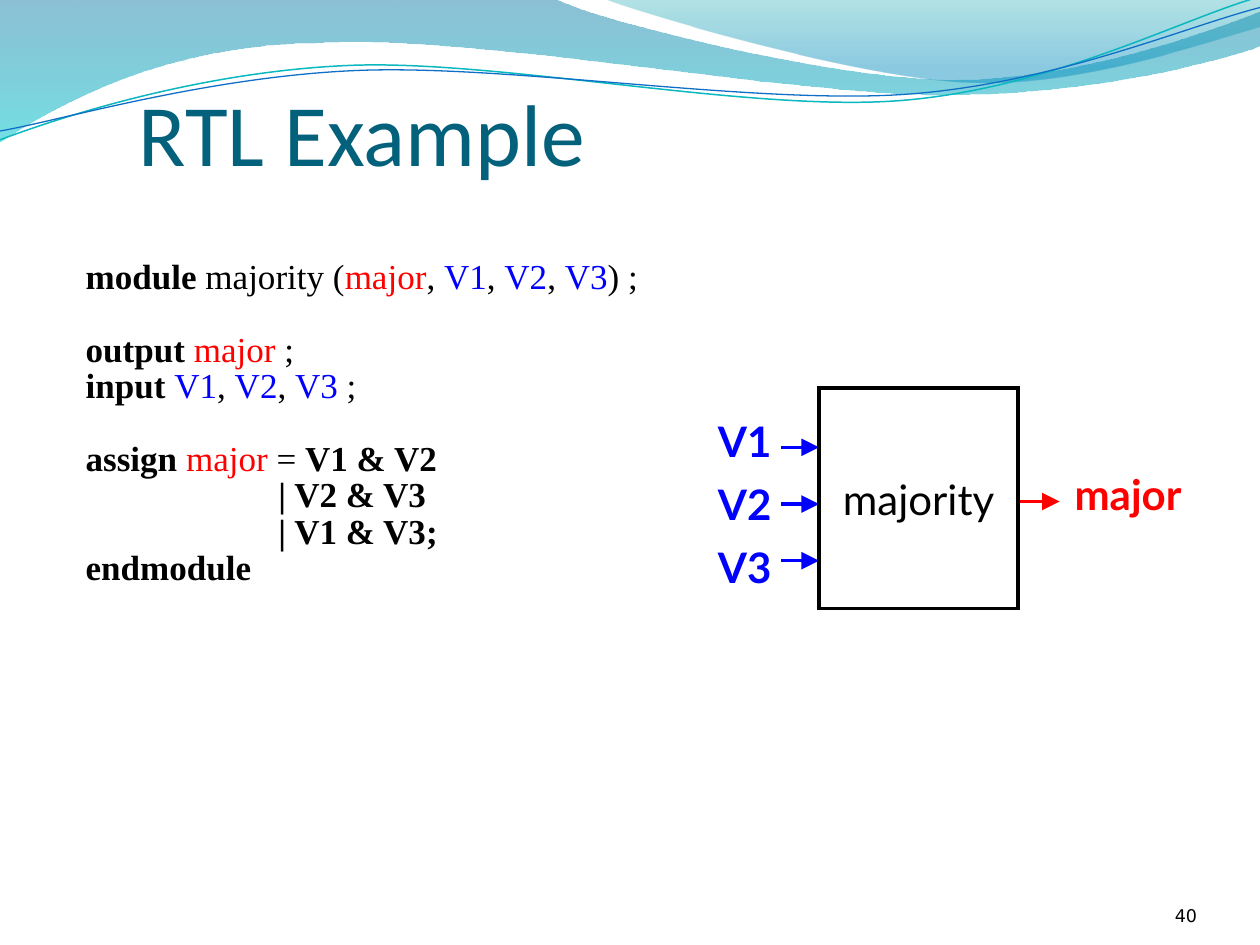
"""Build the RTL example slide: Verilog code beside a majority block diagram."""
import pptx
import pptx.dml.color
import pptx.enum.shapes
import pptx.enum.text
import pptx.oxml
import pptx.oxml.ns
import pptx.util

Inches, Pt = pptx.util.Inches, pptx.util.Pt
ALIGN, ANCHOR = pptx.enum.text.PP_ALIGN, pptx.enum.text.MSO_ANCHOR
BLACK, RED, BLUE, TEAL = "000000", "FF0000", "0000FF", "04617B"

INPUTS = ["V1", "V2", "V3"]
INPUT_RUNS = [("V1", BLUE), (", ", BLACK), ("V2", BLUE), (", ", BLACK), ("V3", BLUE)]
CODE = [
    {"runs": [("module", BLACK, True), (" majority (", BLACK), ("major", RED), (", ", BLACK),
              *INPUT_RUNS, (") ;", BLACK)]},
    {"runs": [("output ", BLACK, True), ("major", RED), (" ;", BLACK)], "gap": True},
    {"runs": [("input ", BLACK, True), *INPUT_RUNS, (" ;", BLACK)]},
    {"runs": [("assign ", BLACK, True), ("major ", RED), ("= ", BLACK),
              ("V1 & V2", BLACK, True)], "gap": True},
    {"runs": [("| V2 & V3", BLACK, True)], "left": 1.53},
    {"runs": [("| V1 & V3;", BLACK, True)], "left": 1.53},
    {"runs": [("endmodule", BLACK, True)]},
]
BANDS = [
    {"start": (0, -0.01),
     "pieces": [(4.4, -0.01), (4.76, 0.17, 6.64, 0.63, 7.58, 0.63),
                (8.53, 0.63, 9.58, 0.26, 10, 0.09), (10.01, 0.36),
                (9.83, 0.44, 8.7, 0.76, 7.46, 0.75), (6.22, 0.75, 3.82, 0.28, 2.57, 0.34),
                (1.29, 0.35, 0.46, 0.83, -0.01, 1.13)],
     "stops": [(0, "0074A1", 45), (1, "00C6CF", 55)]},
    {"start": (4.79, -0.01),
     "pieces": [(5.09, 0.11, 6.82, 0.62, 7.69, 0.65), (8.56, 0.69, 9.61, 0.32, 10, 0.21), (10, 0)],
     "stops": [(0, "00A1A9", 30), (0.8, "008BBF", 45)]},
]
WAVES = [
    {"start": (0, 1.11), "color": "0AB8BF", "width": 0.85,
     "pieces": [(0.48, 0.93, 1.58, 0.57, 2.77, 0.52), (3.95, 0.47, 5.93, 0.89, 7.13, 0.8),
                (8.33, 0.71, 9.38, 0.15, 9.98, -0.02)]},
    {"start": (0, 1.04), "color": "0F6FC6", "width": 0.75,
     "pieces": [(0.47, 0.96, 1.64, 0.61, 2.83, 0.56), (4.03, 0.51, 5.97, 0.83, 7.17, 0.75),
                (8.36, 0.67, 9.41, 0.21, 10, 0.06)]},
]


def rgb(value):
    return pptx.dml.color.RGBColor.from_string(value)


def element(tag, attributes="", content=""):
    namespace = pptx.oxml.ns.nsdecls("a")
    return pptx.oxml.parse_xml(f"<a:{tag} {namespace} {attributes}>{content}</a:{tag}>")


def write(shape, lines, size, font="Lato", align=ALIGN.LEFT, anchor=ANCHOR.TOP, wrap=True,
          insets=(0.1, 0.05, 0.1, 0.05), spacing=1.0, before=0, gap=0):
    frame = shape.text_frame
    frame.auto_size = pptx.enum.text.MSO_AUTO_SIZE.NONE
    frame.word_wrap, frame.vertical_anchor = wrap, anchor
    frame.margin_left, frame.margin_top, frame.margin_right, frame.margin_bottom = map(Inches, insets)
    for index, line in enumerate(lines):
        paragraph = frame.add_paragraph() if index else frame.paragraphs[0]
        paragraph.alignment, paragraph.line_spacing = align, spacing
        paragraph.space_before = Pt(before + (gap if line.get("gap") else 0))
        properties = paragraph._p.get_or_add_pPr()
        properties.set("marL", str(Inches(line.get("left", 0))))
        properties.set("indent", "0")
        properties.append(element("buNone"))
        for text, color, *bold in line["runs"]:
            run = paragraph.add_run()
            run.text = text
            run.font.name, run.font.size, run.font.bold = font, Pt(size), bool(bold)
            run.font.color.rgb = rgb(color)


def place(shape, left, top, width, height):
    shape.left, shape.top, shape.width, shape.height = map(Inches, (left, top, width, height))
    return shape


def add_label(slide, text, box, size, color, bold=False, **style):
    shape = slide.shapes.add_textbox(*map(Inches, box))
    write(shape, [{"runs": [(text, color, True) if bold else (text, color)]}], size, **style)


def add_outline(slide, outline, close):
    corners = [tuple(map(Inches, piece[-2:])) for piece in outline["pieces"]]
    builder = slide.shapes.build_freeform(*map(Inches, outline["start"]))
    builder.add_line_segments(corners, close=close)
    shape = builder.convert_to_shape()
    shape.shadow.inherit = False
    segments = list(shape._element.spPr.iter(pptx.oxml.ns.qn("a:lnTo")))
    for segment, piece in zip(segments, outline["pieces"]):
        if len(piece) == 6:
            points = "".join(f'<a:pt x="{Inches(x) - shape.left}" y="{Inches(y) - shape.top}"/>'
                             for x, y in zip(piece[::2], piece[1::2]))
            segment.getparent().replace(segment, element("cubicBezTo", content=points))
    return shape


def add_band(slide, band):
    shape = add_outline(slide, band, True)
    shape.line.fill.background()
    shape.fill.gradient()
    shape.fill.gradient_angle = 270
    for stop, (position, color, _) in zip(shape.fill.gradient_stops, band["stops"]):
        stop.position, stop.color.rgb = position, rgb(color)
    values = shape._element.spPr.iter(pptx.oxml.ns.qn("a:srgbClr"))
    for value, (_, _, opacity) in zip(values, band["stops"]):
        value.append(element("alpha", f'val="{opacity * 1000}"'))


def add_wave(slide, wave):
    shape = add_outline(slide, wave, False)
    shape.fill.background()
    shape.line.color.rgb, shape.line.width = rgb(wave["color"]), Pt(wave["width"])


def add_arrow(slide, left, right, y, color):
    kind = pptx.enum.shapes.MSO_CONNECTOR.STRAIGHT
    arrow = slide.shapes.add_connector(kind, *map(Inches, (left, y, right, y)))
    arrow.line.color.rgb, arrow.line.width = rgb(color), Pt(2)
    arrow.line._get_or_add_ln().append(element("tailEnd", 'type="triangle" w="lg" len="lg"'))
    arrow._element.spPr.append(element("effectLst"))


def main():
    presentation = pptx.Presentation()
    presentation.slide_width, presentation.slide_height = Inches(10), Inches(7.5)
    slide = presentation.slides.add_slide(presentation.slide_layouts[1])
    for band in BANDS:
        add_band(slide, band)
    for wave in WAVES:
        add_wave(slide, wave)

    title = place(slide.shapes.title, 1.1, 0.21, 5.25, 1.25)
    write(title, [{"runs": [("RTL Example", TEAL)]}], 50, font="Calibri",
          anchor=ANCHOR.BOTTOM, insets=(0, 0.05, 0, 0))
    body = place(slide.placeholders[1], 0.58, 2.06, 7.83, 4.56)
    write(body, CODE, 20, font="Times New Roman", spacing=0.7, before=4, gap=20.8)
    add_label(slide, "40", (8.67, 6.95, 0.83, 0.4), 10, BLACK, font="DejaVu Sans",
              align=ALIGN.RIGHT, anchor=ANCHOR.BOTTOM, insets=(0, 0, 0, 0))

    for row, name in enumerate(INPUTS):
        add_arrow(slide, 6.2, 6.5, 3.55 + 0.45 * row, BLUE)
        add_label(slide, name, (5.6, 3.25 + 0.5 * row, 0.64, 0.5), 24, BLUE, bold=True, wrap=False)
    add_arrow(slide, 8.08, 8.41, 3.98, RED)
    add_label(slide, "major", (8.43, 3.67, 1.19, 0.5), 24, RED, bold=True, wrap=False)

    block = slide.shapes.add_shape(pptx.enum.shapes.MSO_SHAPE.RECTANGLE,
                                   *map(Inches, (6.5, 3.08, 1.58, 1.75)))
    block.shadow.inherit = False
    block.fill.background()
    block.line.color.rgb, block.line.width = rgb(BLACK), Pt(2)
    block.line._get_or_add_ln().append(element("miter", 'lim="800000"'))
    write(block, [{"runs": [("majority", BLACK)]}], 24, align=ALIGN.CENTER,
          anchor=ANCHOR.MIDDLE, wrap=False)
    presentation.save("out.pptx")


if __name__ == "__main__":
    main()
